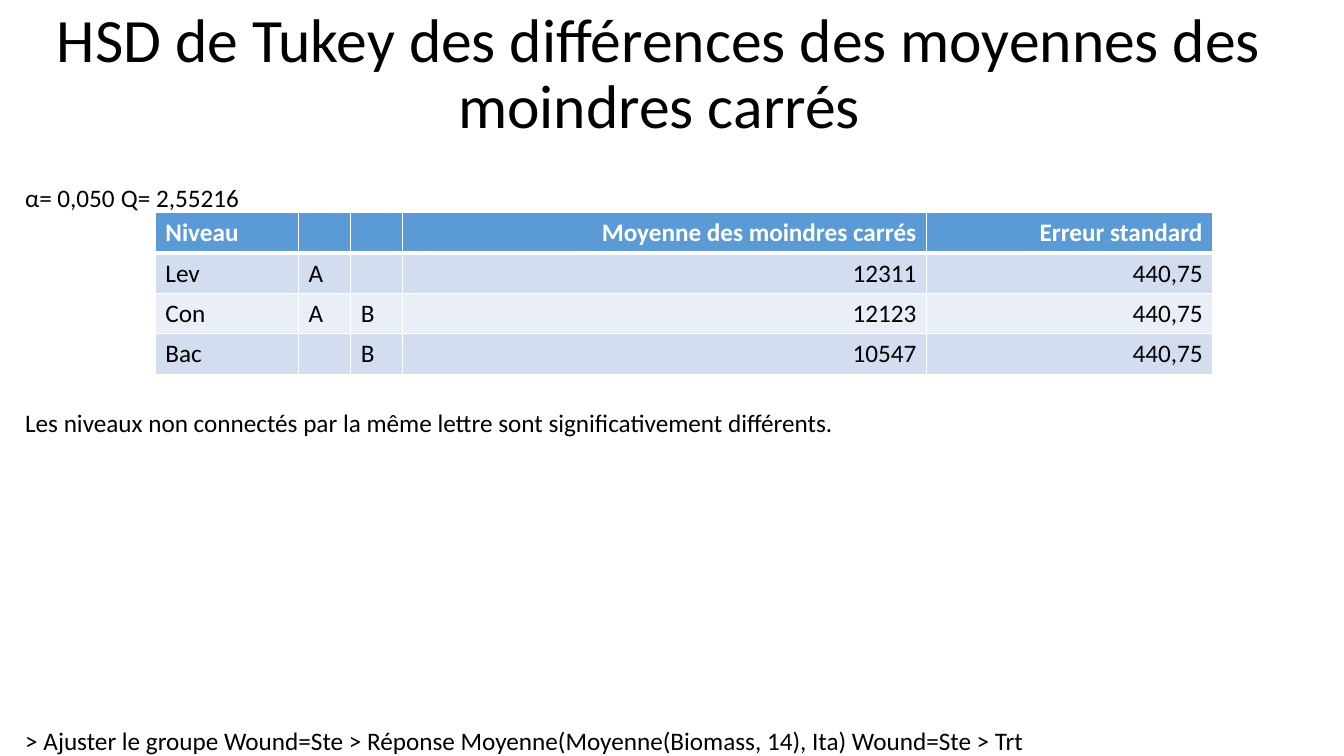
from dataclasses import dataclass

from lxml import etree
from pptx import Presentation
from pptx.dml.color import RGBColor
from pptx.enum import text
from pptx.oxml import ns
from pptx.util import Pt


@dataclass(frozen=True)
class Theme:
    font: str = "Calibri"
    ink: str = "000000"
    paper: str = "FFFFFF"
    header: str = "5B9BD5"
    bands: tuple = ("D2DEEF", "EAEFF7")
    title_size: int = 44
    body_size: int = 18
    thin: int = 1
    thick: int = 3


THEME = Theme()
MARGIN = 18
LINE_HEIGHT = 22
STATISTICS_TOP = 130.3
STATISTICS = [("α=", 18, 22), ("0,050", 41, 44), ("Q=", 86.4, 24), ("2,55216", 111.6, 64)]
COLUMN_WIDTHS = [102.2, 37.4, 36.9, 374.4, 204.4]
ROW_HEIGHT = 28.8
FIRST_NUMERIC_COLUMN = 3
LEVELS = [
    ("Niveau", "", "", "Moyenne des moindres carrés", "Erreur standard"),
    ("Lev", "A", "", "12311", "440,75"),
    ("Con", "A", "B", "12123", "440,75"),
    ("Bac", "", "B", "10547", "440,75"),
]


def add_run(paragraph, wording, size, color=THEME.ink, bold=False):
    run = paragraph.add_run()
    run.text = wording
    run.font.name = THEME.font
    run.font.size = Pt(size)
    run.font.bold = bold
    run.font.color.rgb = RGBColor.from_string(color)


def add_title(slide, wording):
    frame = slide.shapes.add_textbox(0, 0, Pt(942), Pt(108)).text_frame
    frame.word_wrap = True
    frame.vertical_anchor = text.MSO_ANCHOR.MIDDLE
    heading = frame.paragraphs[0]
    heading.alignment = text.PP_ALIGN.CENTER
    heading.line_spacing = 0.9
    add_run(heading, wording, THEME.title_size)


def add_label(slide, wording, left, top, width):
    frame = slide.shapes.add_textbox(Pt(left), Pt(top), Pt(width), Pt(LINE_HEIGHT)).text_frame
    frame.margin_left = frame.margin_top = frame.margin_right = frame.margin_bottom = 0
    frame.word_wrap = False
    frame.auto_size = text.MSO_AUTO_SIZE.NONE
    add_run(frame.paragraphs[0], wording, THEME.body_size)
    frame.paragraphs[0].alignment = text.PP_ALIGN.LEFT


def set_borders(cell, top, bottom):
    properties = cell._tc.get_or_add_tcPr()
    edges = {"lnL": THEME.thin, "lnR": THEME.thin, "lnT": top, "lnB": bottom}
    for position, (edge, width) in enumerate(edges.items()):
        line = etree.Element(ns.qn(f"a:{edge}"), w=str(Pt(width)))
        paint = etree.SubElement(line, ns.qn("a:solidFill"))
        etree.SubElement(paint, ns.qn("a:srgbClr"), val=THEME.paper)
        properties.insert(position, line)


def fill_cell(cell, wording, row, column):
    is_header = row == 0
    background = THEME.header if is_header else THEME.bands[(row - 1) % 2]
    cell.fill.solid()
    cell.fill.fore_color.rgb = RGBColor.from_string(background)
    set_borders(
        cell,
        THEME.thick if row == 1 else THEME.thin,
        THEME.thick if is_header else THEME.thin,
    )
    paragraph = cell.text_frame.paragraphs[0]
    if column >= FIRST_NUMERIC_COLUMN:
        paragraph.alignment = text.PP_ALIGN.RIGHT
    if wording:
        add_run(paragraph, wording, THEME.body_size, THEME.paper if is_header else THEME.ink, is_header)


def add_levels_table(slide, left, top):
    levels = slide.shapes.add_table(
        len(LEVELS), len(COLUMN_WIDTHS), Pt(left), Pt(top),
        Pt(sum(COLUMN_WIDTHS)), Pt(ROW_HEIGHT * len(LEVELS)),
    ).table
    for column, width in zip(levels.columns, COLUMN_WIDTHS):
        column.width = Pt(width)
    for row, level in enumerate(LEVELS):
        levels.rows[row].height = Pt(ROW_HEIGHT)
        for column, wording in enumerate(level):
            fill_cell(levels.cell(row, column), wording, row, column)


def main():
    deck = Presentation()
    deck.slide_width, deck.slide_height = Pt(960), Pt(540)
    slide = deck.slides.add_slide(deck.slide_layouts[6])
    add_label(
        slide,
        "> Ajuster le groupe Wound=Ste > Réponse Moyenne(Moyenne(Biomass, 14), Ita) Wound=Ste > Trt",
        MARGIN, 518, 722,
    )
    add_title(slide, "HSD de Tukey des différences des moyennes des moindres carrés")
    for wording, left, width in STATISTICS:
        add_label(slide, wording, left, STATISTICS_TOP, width)
    add_levels_table(slide, 111, 152)
    add_label(
        slide,
        "Les niveaux non connectés par la même lettre sont significativement différents.",
        MARGIN, 291, 585,
    )
    deck.save("out.pptx")


if __name__ == "__main__":
    main()
